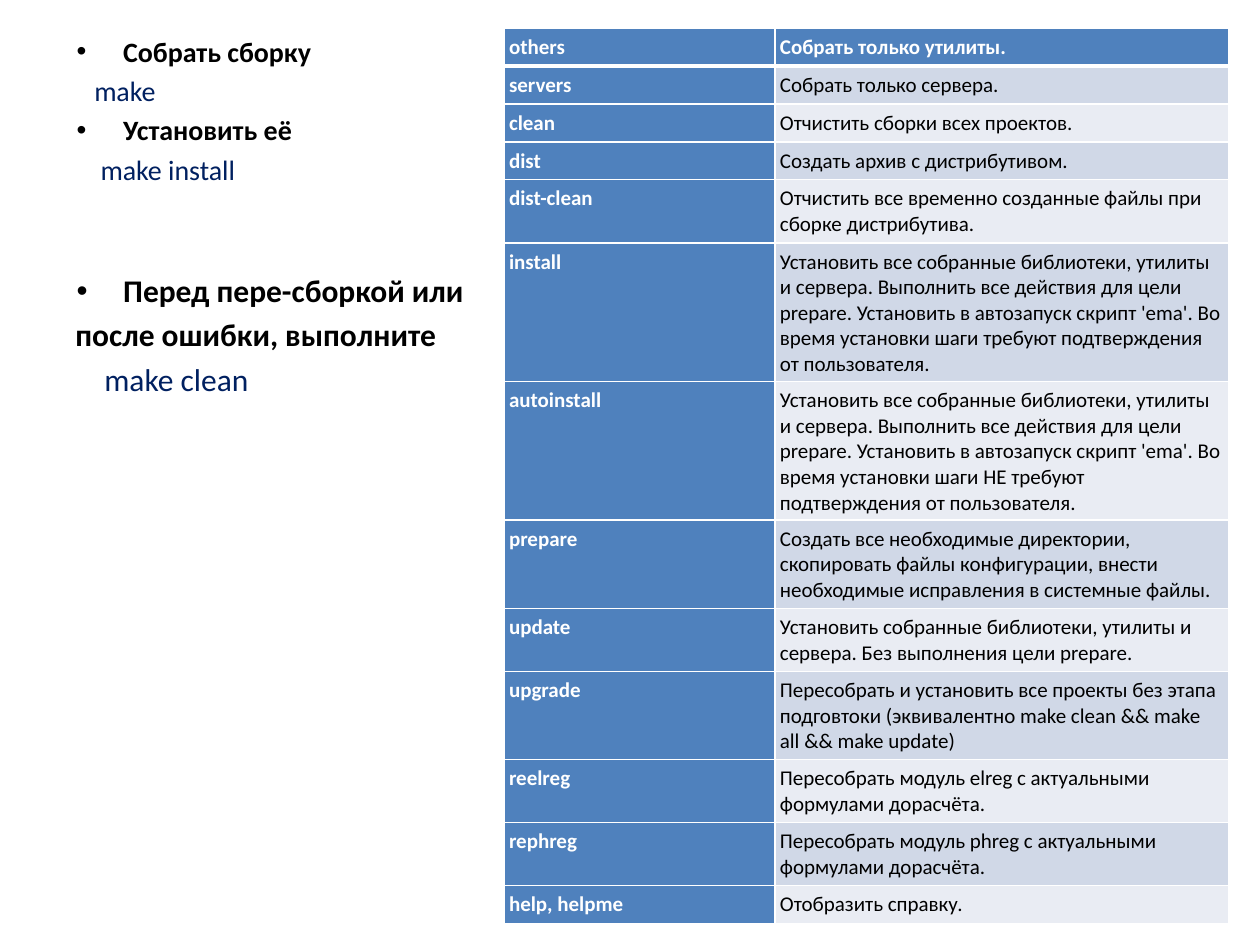
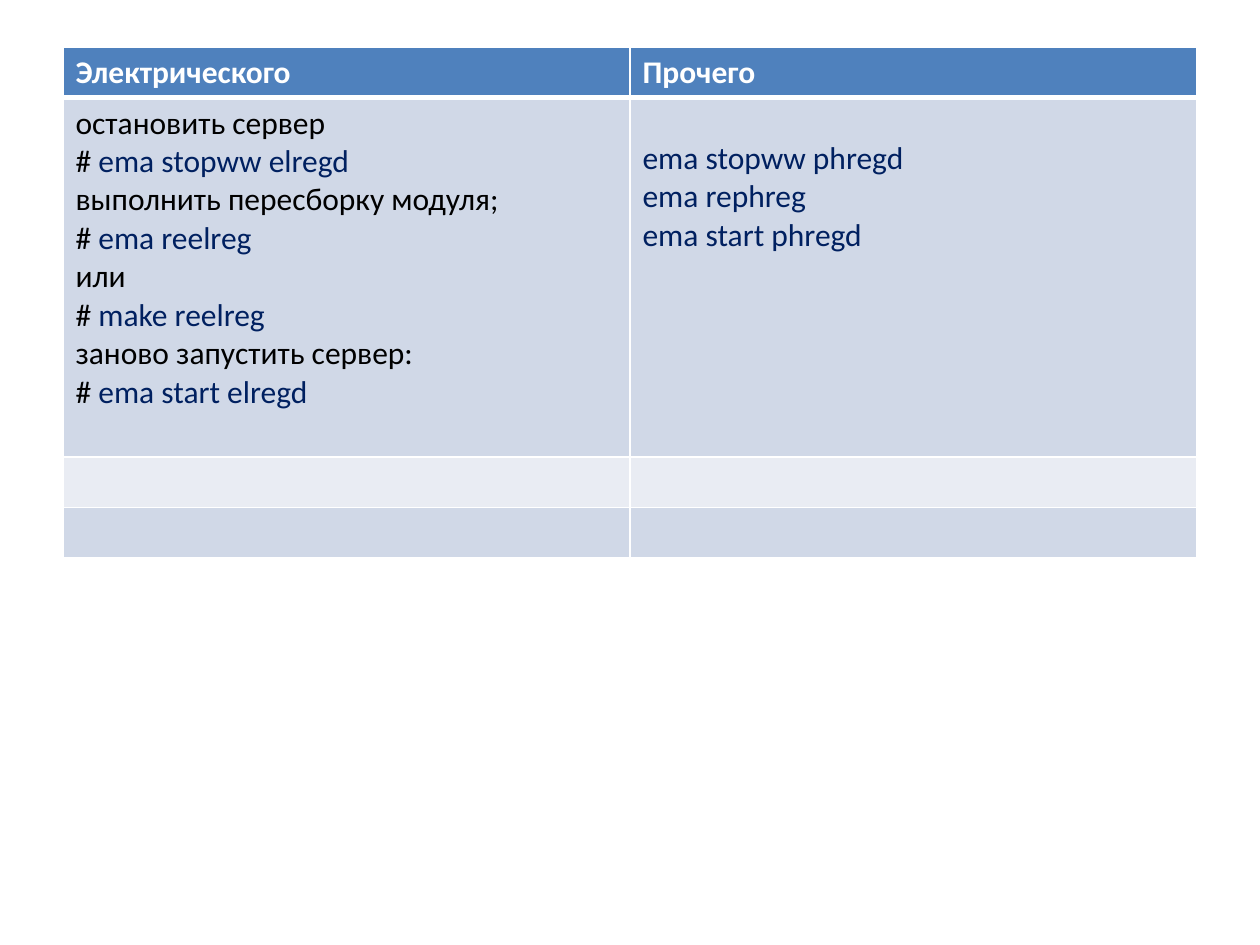
from lxml.etree import SubElement
from pptx import Presentation
from pptx.dml.color import RGBColor
from pptx.oxml.ns import qn
from pptx.util import Inches, Pt

WIDTH, HEIGHT = 10, 7.5
FONT = "Calibri"
BLACK, WHITE, NAVY, BLUE = "000000", "FFFFFF", "002060", "4F81BD"
BANDS = ("D0D8E7", "E9ECF3")
THIN_LINE, HEADER_LINE = 0.96, 3
LINE_HEIGHT, CELL_PADDING = 0.2, 0.1

BUILD_STEPS = [
    dict(text="Собрать сборку", size=16, bullet=True),
    dict(text="make", size=16, indent=0.15, space=3.2),
    dict(text="Установить её", size=16, bullet=True, space=3.2),
    dict(text="make install", size=16, indent=0.2, space=3.2),
    dict(text="Перед пере-сборкой или", size=18, bullet=True, space=49),
    dict(text="после ошибки, выполните", size=18, bold=True, space=3.6),
    dict(text="make clean", size=18, indent=0.23, space=3.6),
]

INSTALL_TEXT = (
    "Установить все собранные библиотеки, утилиты и сервера. "
    "Выполнить все действия для цели prepare. "
    "Установить в автозапуск скрипт 'ema'. "
    "Во время установки шаги {} подтверждения от пользователя."
)

TARGETS = [
    ("others", "Собрать только утилиты.", 1),
    ("servers", "Собрать только сервера.", 1),
    ("clean", "Отчистить сборки всех проектов.", 1),
    ("dist", "Создать архив с дистрибутивом.", 1),
    ("dist-clean", "Отчистить все временно созданные файлы при сборке дистрибутива.", 2),
    ("install", INSTALL_TEXT.format("требуют"), 5),
    ("autoinstall", INSTALL_TEXT.format("НЕ требуют"), 5),
    ("prepare", "Создать все необходимые директории, скопировать файлы конфигурации, "
                "внести необходимые исправления в системные файлы.", 3),
    ("update", "Установить собранные библиотеки, утилиты и сервера. "
               "Без выполнения цели prepare.", 2),
    ("upgrade", "Пересобрать и установить все проекты без этапа подговтоки "
                "(эквивалентно make clean && make all && make update)", 3),
    ("reelreg", "Пересобрать модуль elreg с актуальными формулами дорасчёта.", 2),
    ("rephreg", "Пересобрать модуль phreg с актуальными формулами дорасчёта.", 2),
    ("help, helpme", "Отобразить справку.", 1),
]

ELECTRIC_STEPS = [
    [("остановить сервер", BLACK)],
    [("# ", BLACK), ("ema stopww elregd", NAVY)],
    [("выполнить пересборку модуля;", BLACK)],
    [("# ", BLACK), ("ema reelreg", NAVY)],
    [("или", BLACK)],
    [("# ", BLACK), ("make reelreg", NAVY)],
    [("заново запустить сервер:", BLACK)],
    [("# ", BLACK), ("ema start elregd", NAVY)],
]
OTHER_STEPS = [
    [(command, NAVY)]
    for command in ("ema stopww phregd", "ema rephreg", "ema start phregd")
]


def color(value):
    return RGBColor.from_string(value)


def add_text(para, text, size=18, shade=BLACK, bold=False):
    span = para.add_run()
    span.text = text
    span.font.name = FONT
    span.font.size = Pt(size)
    span.font.bold = bold
    span.font.color.rgb = color(shade)


def paragraphs(frame, count):
    return [frame.paragraphs[0]] + [frame.add_paragraph() for _ in range(count - 1)]


class Builder:
    def __init__(self):
        self.deck = Presentation()
        self.deck.slide_width = Inches(WIDTH)
        self.deck.slide_height = Inches(HEIGHT)
        self.page = None

    def add_page(self):
        self.page = self.deck.slides.add_slide(self.deck.slide_layouts[6])

    def place(self, left, top, width, height):
        return [Inches(share * side) for share, side in
                zip((left, top, width, height), (WIDTH, HEIGHT) * 2)]

    def add_steps(self, area, steps):
        frame = self.page.shapes.add_textbox(*self.place(*area)).text_frame
        frame.word_wrap = True
        for para, step in zip(paragraphs(frame, len(steps)), steps):
            self.add_step(para, **step)

    def add_step(self, para, text, size, bullet=False, bold=False, indent=0, space=0):
        properties = para._p.get_or_add_pPr()
        if bullet:
            properties.set("marL", str(Inches(0.38)))
            properties.set("indent", str(-Inches(0.37)))
            SubElement(properties, qn("a:buFont"), typeface="Arial")
            SubElement(properties, qn("a:buChar"), char="•")
        elif indent:
            properties.set("marL", str(Inches(indent)))
        if space:
            para.space_before = Pt(space)
        add_text(para, text, size=size, bold=bullet or bold,
                 shade=NAVY if indent else BLACK)

    def add_table(self, left, top, columns, rows):
        area = self.place(left, top, sum(columns) / WIDTH, sum(rows) / HEIGHT)
        table = self.page.shapes.add_table(len(rows), len(columns), *area).table
        table.horz_banding = False
        for column, width in zip(table.columns, columns):
            column.width = Inches(width)
        for row, height in zip(table.rows, rows):
            row.height = Inches(height)
        return table

    def style_cell(self, cell, row, fill):
        properties = cell._tc.get_or_add_tcPr()
        widths = {
            "L": THIN_LINE,
            "R": THIN_LINE,
            "T": HEADER_LINE if row == 1 else THIN_LINE,
            "B": HEADER_LINE if row == 0 else THIN_LINE,
        }
        for side, width in widths.items():
            line = SubElement(properties, qn(f"a:ln{side}"), w=str(Pt(width)))
            SubElement(SubElement(line, qn("a:solidFill")), qn("a:srgbClr"), val=WHITE)
        cell.fill.solid()
        cell.fill.fore_color.rgb = color(fill)

    def add_targets(self, left, top, columns, targets):
        rows = [lines * LINE_HEIGHT + CELL_PADDING for _, _, lines in targets]
        table = self.add_table(left, top, columns, rows)
        for row, target in enumerate(targets):
            for column, text in enumerate(target[:2]):
                heading = row == 0 or column == 0
                cell = table.cell(row, column)
                cell.margin_left = cell.margin_right = Inches(0.04)
                self.style_cell(cell, row, BLUE if heading else BANDS[(row - 1) % 2])
                add_text(cell.text_frame.paragraphs[0], text, size=12,
                         shade=WHITE if heading else BLACK, bold=heading)

    def add_rebuild(self, left, top, columns, rows, headings, commands):
        table = self.add_table(left, top, columns, rows)
        for row in range(len(rows)):
            for column in range(len(columns)):
                fill = BANDS[(row - 1) % 2] if row else BLUE
                self.style_cell(table.cell(row, column), row, fill)
        for column, heading in enumerate(headings):
            para = table.cell(0, column).text_frame.paragraphs[0]
            add_text(para, heading, shade=WHITE, bold=True)
        for column, lines in enumerate(commands):
            frame = table.cell(1, column).text_frame
            for para, spans in zip(paragraphs(frame, len(lines)), lines):
                for text, shade in spans:
                    add_text(para, text, shade=shade)
        table.cell(1, 1).margin_top = Inches(0.33)


def main():
    builder = Builder()
    builder.add_page()
    builder.add_steps((0.05, 0.03, 0.94, 0.91), BUILD_STEPS)
    builder.add_targets(0.4, 0.03, (2.15, 3.6), TARGETS)
    builder.add_page()
    builder.add_rebuild(0.05, 0.05, (4.5, 4.5), (0.4, 2.85, 0.38, 0.38),
                        ("Электрического", "Прочего"), (ELECTRIC_STEPS, OTHER_STEPS))
    builder.deck.save("out.pptx")


if __name__ == "__main__":
    main()
